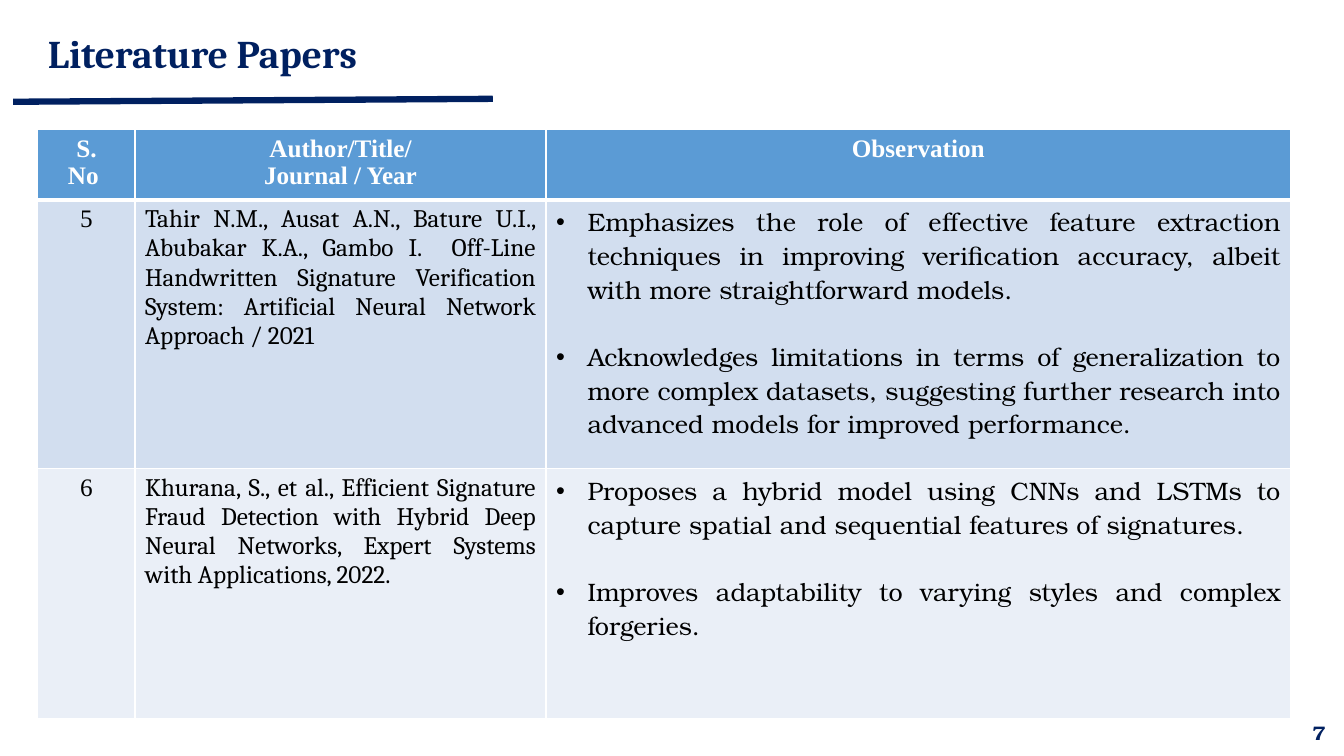
from dataclasses import dataclass
from lxml.etree import SubElement as Sub
from pptx import Presentation
from pptx.dml.color import RGBColor as RGB
from pptx.enum.shapes import MSO_CONNECTOR as Link
from pptx.enum.text import MSO_ANCHOR as Anchor, PP_ALIGN as Align
from pptx.oxml.ns import qn
from pptx.util import Pt


@dataclass(frozen=True)
class Theme:
    navy: str = "002060"
    head: str = "5B9BD5"
    odd: str = "D2DEEF"
    even: str = "EAEFF7"
    white: str = "FFFFFF"
    black: str = "000000"
    title: int = 28
    body: int = 18
    page: int = 14
    serif: str = "Cambria"
    times: str = "Times New Roman"
    book: str = "TeX Gyre Bonum"


theme = Theme()


def style(para, face, size, color, bold, align):
    para.alignment = align
    for run in para.runs:
        run.font.name = face
        run.font.size = Pt(size)
        run.font.bold = bold
        run.font.color.rgb = RGB.from_string(color)


def edge(cell, side, width):
    line = Sub(cell._tc.get_or_add_tcPr(), qn(f"a:{side}"), w=str(Pt(width)))
    fill = Sub(line, qn("a:solidFill"))
    Sub(fill, qn("a:srgbClr"), val=theme.white)


deck = Presentation()
deck.slide_width, deck.slide_height = Pt(960), Pt(540)
slide = deck.slides.add_slide(deck.slide_layouts[5])
shapes = slide.shapes

rule = shapes.add_connector(Link.STRAIGHT, Pt(9.4), Pt(72.7), Pt(352), Pt(70.6))
rule.line.color.rgb = RGB.from_string(theme.navy)
rule.line.width = Pt(4.5)
Sub(rule._element.spPr, qn("a:effectLst"))

title = shapes.title
title.left, title.top, title.width, title.height = Pt(27), Pt(16.5), Pt(769), Pt(47)
title.text_frame.text = "Literature Papers"
title.text_frame.vertical_anchor = Anchor.MIDDLE
para = title.text_frame.paragraphs[0]
para.line_spacing = 0.9
style(para, theme.serif, theme.title, theme.navy, True, Align.LEFT)

page = shapes.add_textbox(Pt(738), Pt(508.5), Pt(216), Pt(29)).text_frame
page.word_wrap = True
page.vertical_anchor = Anchor.MIDDLE
page.text = "7"
style(page.paragraphs[0], theme.book, theme.page, theme.navy, True, Align.RIGHT)

rows = [
    ("S.\nNo ", "Author/Title/\nJournal / Year", "Observation"),
    ("5",
     "Tahir N.M., Ausat A.N., Bature U.I., Abubakar K.A., Gambo I.  Off-Line "
     "Handwritten Signature Verification System: Artificial Neural Network "
     "Approach / 2021",
     "Emphasizes the role of effective feature extraction techniques in "
     "improving verification accuracy, albeit with more straightforward models.\n"
     "Acknowledges limitations in terms of generalization to more complex "
     "datasets, suggesting further research into advanced models for improved "
     "performance."),
    ("6",
     "Khurana, S., et al., Efficient Signature Fraud Detection with Hybrid Deep "
     "Neural Networks, Expert Systems with Applications, 2022.",
     "Proposes a hybrid model using CNNs and LSTMs to capture spatial and "
     "sequential features of signatures.\n"
     "Improves adaptability to varying styles and complex forgeries."),
]
widths = [69.5, 293.5, 532]
heights = [49, 192, 178.5]
fills = [theme.head, theme.odd, theme.even]
faces = [theme.times, theme.serif, theme.book]

grid = shapes.add_table(3, 3, Pt(27), Pt(92.5), Pt(sum(widths)), Pt(sum(heights))).table
for col, width in zip(grid.columns, widths):
    col.width = Pt(width)
for row, height in zip(grid.rows, heights):
    row.height = Pt(height)

for r, texts in enumerate(rows):
    top = r == 0
    for c, text in enumerate(texts):
        cell = grid.cell(r, c)
        for side in ("lnL", "lnR", "lnT", "lnB"):
            heavy = (r, side) in ((0, "lnB"), (1, "lnT"))
            edge(cell, side, 3 if heavy else 1)
        cell.fill.solid()
        cell.fill.fore_color.rgb = RGB.from_string(fills[r])
        cell.text_frame.text = text
        for i, para in enumerate(cell.text_frame.paragraphs):
            style(para, theme.times if top else faces[c], theme.body,
                  theme.white if top else theme.black, top,
                  Align.CENTER if top or c == 0 else Align.JUSTIFY)
            if not top and c == 2:
                para.space_before = Pt(24 * i)
                props = para._p.get_or_add_pPr()
                props.set("marL", str(Pt(22.5)))
                props.set("indent", str(Pt(-22.5)))
                Sub(props, qn("a:buFont"), typeface="Arial")
                Sub(props, qn("a:buChar"), char="•")

deck.save("out.pptx")
